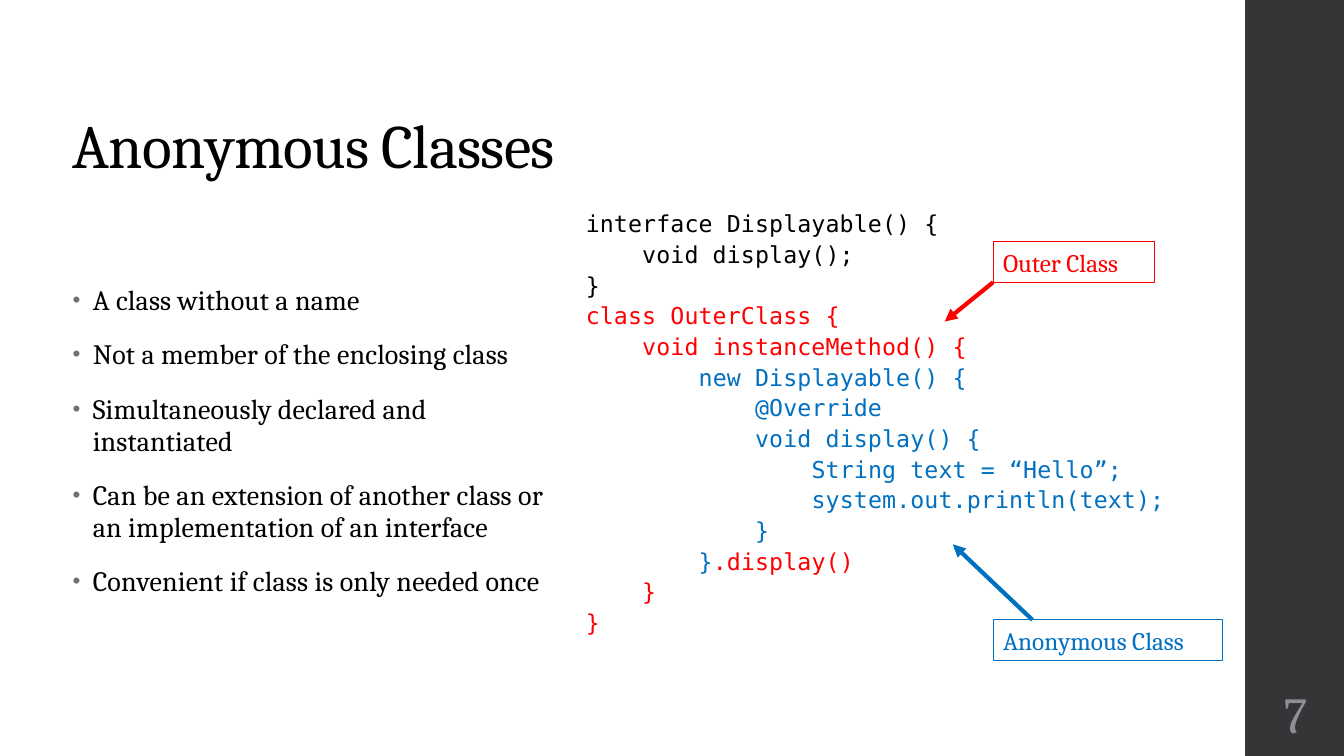
from lxml import etree
from pptx import Presentation
from pptx.dml.color import RGBColor
from pptx.enum import shapes as s, text as t
from pptx.oxml.ns import qn
from pptx.util import Inches, Pt

BLACK, RED, BLUE = "000000", "FF0000", "0070C0"
GREY, DARK, PALE = "6F6F74", "353537", "8E8E94"
SERIF, MONO = "Cambria", "DejaVu Sans Mono"

POINTS = [
    "A class without a name",
    "Not a member of the enclosing class",
    "Simultaneously declared and instantiated",
    "Can be an extension of another class or an implementation of an interface",
    "Convenient if class is only needed once",
]

# Each code line: indent level, then pairs of text and colour
CODE = [
    (0, ("interface Displayable() {", BLACK)),
    (1, ("void display();", BLACK)),
    (0, ("}", BLACK)),
    (0, ("class OuterClass {", RED)),
    (1, ("void instanceMethod() {", RED)),
    (2, ("new Displayable() {", BLUE)),
    (3, ("@Override", BLUE)),
    (3, ("void display() {", BLUE)),
    (4, ("String text = “Hello”;", BLUE)),
    (4, ("system.out.println(text);", BLUE)),
    (3, ("}", BLUE)),
    (2, ("}", BLUE), (".display()", RED)),
    (1, ("}", RED)),
    (0, ("}", RED)),
]


def rgb(code):
    return RGBColor.from_string(code)


def style(run, size, color, face=SERIF, gap=0):
    font = run.font
    font.size, font.name = Pt(size), face
    font.color.rgb = rgb(color)
    if gap:
        run._r.get_or_add_rPr().set("spc", str(round(gap * 100)))


def place(shape, box):
    shape.left, shape.top, shape.width, shape.height = map(Inches, box)


def frame(shape, anchor):
    body = shape.text_frame
    body.word_wrap = True
    body.auto_size = t.MSO_AUTO_SIZE.NONE
    body.vertical_anchor = anchor
    return body


def space(para, line, before=0, after=0):
    para.alignment = t.PP_ALIGN.LEFT
    para.line_spacing = line
    para.space_before, para.space_after = Pt(before), Pt(after)


def indent(para, left, first=0):
    props = para._p.get_or_add_pPr()
    props.set("marL", str(Inches(left)))
    props.set("indent", str(Inches(first)))
    return props


def bullet(para):
    props = indent(para, 0.2, -0.2)
    color = etree.SubElement(props, qn("a:buClr"))
    etree.SubElement(color, qn("a:srgbClr"), val=GREY)
    etree.SubElement(props, qn("a:buSzPct"), val="80000")
    etree.SubElement(props, qn("a:buFont"), typeface="Arial")
    etree.SubElement(props, qn("a:buChar"), char="•")


# Dark band on the right with the slide number
def band(slide, box, number):
    left, top, width, height = box
    bar = slide.shapes.add_shape(s.MSO_SHAPE.RECTANGLE, *map(Inches, box))
    bar.shadow.inherit = False
    bar.fill.solid()
    bar.fill.fore_color.rgb = rgb(DARK)
    bar.line.fill.background()
    spot = (left, top + height - 0.75, width, 0.65)
    label = slide.shapes.add_textbox(*map(Inches, spot))
    body = frame(label, t.MSO_ANCHOR.MIDDLE)
    body.margin_left = body.margin_right = Inches(0.05)
    body.text = number
    para = body.paragraphs[0]
    para.alignment = t.PP_ALIGN.CENTER
    style(para.runs[0], 36, PALE)


def title(shape, box, words):
    place(shape, box)
    body = frame(shape, t.MSO_ANCHOR.BOTTOM)
    body.text = words
    para = body.paragraphs[0]
    space(para, 0.9)
    style(para.runs[0], 44, BLACK, gap=-0.5)


def points(shape, box, items):
    place(shape, box)
    body = frame(shape, t.MSO_ANCHOR.MIDDLE)
    body.text = "\n".join(items)
    for para in body.paragraphs:
        space(para, 0.95, 14, 2)
        bullet(para)
        style(para.runs[0], 20, BLACK, gap=0.1)


def code(shape, box, lines):
    place(shape, box)
    body = frame(shape, t.MSO_ANCHOR.TOP)
    for i, (level, *parts) in enumerate(lines):
        para = body.add_paragraph() if i else body.paragraphs[0]
        space(para, 1.1)
        etree.SubElement(indent(para, 0.56 * level), qn("a:buNone"))
        for words, color in parts:
            run = para.add_run()
            run.text = words
            style(run, 16.6, color, MONO, 0.1)


# Framed label with an arrow pointing at its part of the code
def callout(slide, box, words, color, start, end):
    label = slide.shapes.add_shape(s.MSO_SHAPE.RECTANGLE, *map(Inches, box))
    label.shadow.inherit = False
    label.fill.background()
    label.line.color.rgb = rgb(color)
    label.line.width = Pt(0.75)
    body = frame(label, t.MSO_ANCHOR.TOP)
    body.word_wrap = False
    body.text = words
    para = body.paragraphs[0]
    para.alignment = t.PP_ALIGN.LEFT
    style(para.runs[0], 18, color)

    arrow = slide.shapes.add_connector(
        s.MSO_CONNECTOR.STRAIGHT, *map(Inches, start + end))
    arrow.line.color.rgb = rgb(color)
    arrow.line.width = Pt(3)
    etree.SubElement(arrow.line._get_or_add_ln(), qn("a:tailEnd"), type="triangle")
    etree.SubElement(arrow._element.spPr, qn("a:effectLst"))


def main():
    deck = Presentation()
    deck.slide_width, deck.slide_height = Inches(13.33), Inches(7.5)
    slide = deck.slides.add_slide(deck.slide_layouts[3])
    head, left, right = slide.placeholders
    band(slide, (12.35, 0, 1, 7.5), "7")
    title(head, (0.62, 0.4, 10.6, 1.45), "Anonymous Classes")
    points(left, (0.62, 2, 4.9, 4.76), POINTS)
    code(right, (5.71, 2, 6.52, 4.76), CODE)
    callout(slide, (9.85, 2.4, 1.6, 0.4), "Outer Class", RED,
            (9.85, 2.8), (9.37, 3.19))
    callout(slide, (9.85, 6.15, 2.28, 0.4), "Anonymous Class", BLUE,
            (10.24, 6.15), (9.45, 5.4))
    deck.save("out.pptx")


if __name__ == "__main__":
    main()
